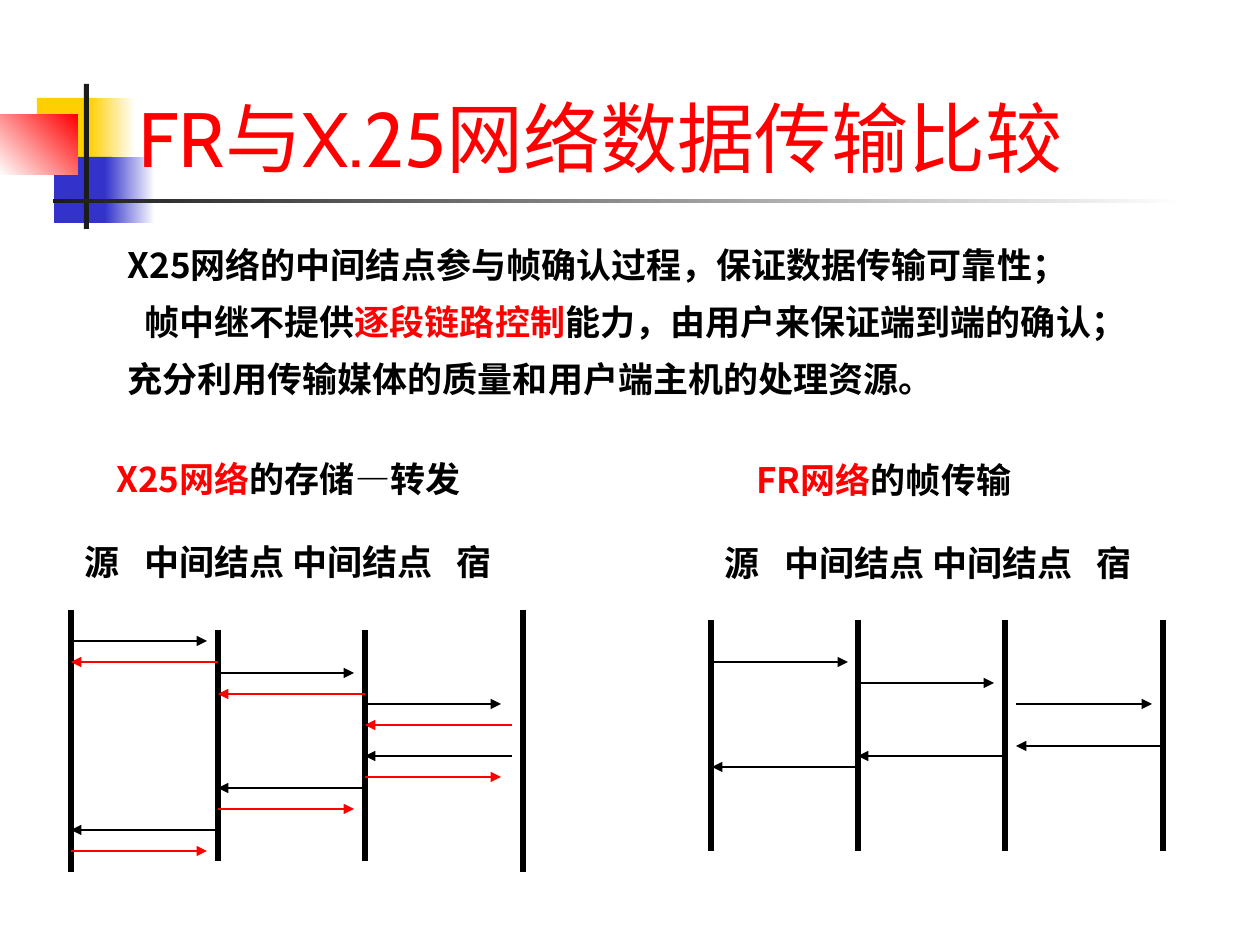
from lxml.etree import SubElement
from pptx import Presentation
from pptx.dml.color import RGBColor
from pptx.enum.shapes import MSO_CONNECTOR as Link, MSO_SHAPE as Form
from pptx.enum.text import MSO_ANCHOR as Anchor
from pptx.oxml.ns import qn
from pptx.util import Pt

SCALE = 914400 / 126
BLACK, RED, WHITE = "000000", "FF0000", "FFFFFF"
GOLD, BLUE, DARK = "FFCF01", "3333CC", "1C1C1C"


def px(num):
    return round(num * SCALE)


def tint(code):
    return RGBColor.from_string(code)


class Deck:
    sans = "Noto Sans CJK SC"
    head = "Cabin"

    def __init__(self, wide, high):
        self.show = Presentation()
        self.show.slide_width, self.show.slide_height = px(wide), px(high)
        self.slide = self.show.slides.add_slide(self.show.slide_layouts[6])

    def rect(self, x, y, wide, high, color, end=None, angle=0):
        box = self.slide.shapes.add_shape(Form.RECTANGLE, px(x), px(y), px(wide), px(high))
        box.shadow.inherit = False
        box.line.fill.background()
        if end is None:
            box.fill.solid()
            box.fill.fore_color.rgb = tint(color)
            return
        box.fill.gradient()
        box.fill.gradient_angle = angle
        for stop, code in zip(box.fill.gradient_stops, (color, end)):
            stop.color.rgb = tint(code)

    def line(self, x1, y1, x2, y2, color=BLACK, width=0.75, arrow=True):
        link = self.slide.shapes.add_connector(Link.STRAIGHT, px(x1), px(y1), px(x2), px(y2))
        link.line.color.rgb = tint(color)
        link.line.width = Pt(width)
        if arrow:
            SubElement(link.line._ln, qn("a:tailEnd"), type="triangle")
        SubElement(link._element.spPr, qn("a:effectLst"))

    def text(self, x, y, wide, high, anchor=Anchor.TOP):
        frame = self.slide.shapes.add_textbox(px(x), px(y), px(wide), px(high)).text_frame
        frame.word_wrap = True
        frame.vertical_anchor = anchor
        return frame

    def para(self, frame, runs, size=20, font=sans, bold=True,
             indent=0, before=0, space=None):
        first = not frame.paragraphs[0].runs
        para = frame.paragraphs[0] if first else frame.add_paragraph()
        if not first:
            para.space_before = Pt(before)
        if space:
            para.line_spacing = space
        props = para._p.get_or_add_pPr()
        props.set("marL", str(px(indent)))
        props.set("indent", "0")
        for words, color in runs:
            run = para.add_run()
            run.text = words
            run.font.size, run.font.bold, run.font.name = Pt(size), bold, font
            run.font.color.rgb = tint(color)
            SubElement(run._r.get_or_add_rPr(), qn("a:ea"), typeface=self.sans)


def frame_art(deck):
    deck.rect(37, 98, 60, 66, GOLD)
    deck.rect(89, 98, 46, 66, GOLD, WHITE)
    deck.rect(54, 157, 58, 66, BLUE)
    deck.rect(105, 157, 50, 66, BLUE, WHITE)
    deck.rect(0, 115, 78, 60, WHITE, RED, 45)
    deck.rect(84, 84, 5, 145, DARK)
    deck.rect(53, 199, 1134, 4, DARK, WHITE)


def heading(deck):
    title = deck.text(126, 73, 1074, 116, Anchor.BOTTOM)
    deck.para(title, [("FR与X.25网络数据传输比较", RED)], 44, deck.head, False)
    body = deck.text(115, 231, 1040, 239)
    points = [
        (0, [("X25网络的中间结点参与帧确认过程，保证数据传输可靠性；", BLACK)]),
        (17, [("帧中继不提供", BLACK), ("逐段链路控制", RED),
              ("能力，由用户来保证端到端的确认；", BLACK)]),
        (0, [("充分利用传输媒体的质量和用户端主机的处理资源。", BLACK)]),
    ]
    for indent, runs in points:
        deck.para(body, runs, indent=indent, before=5, space=1.15)


def chart(deck, left, top, name, rest, posts):
    deck.para(deck.text(left + 32, top, 405, 54), [(name, RED), (rest, BLACK)])
    labels = [(0, 65, "源"), (60, 170, "中间结点"), (208, 170, "中间结点"), (372, 65, "宿")]
    for step, wide, words in labels:
        deck.para(deck.text(left + step, top + 83, wide, 54), [(words, BLACK)])
    for step, (start, end) in zip((0, 147, 294, 452), posts):
        deck.line(left - 1 + step, start, left - 1 + step, end, width=3, arrow=False)


def main():
    deck = Deck(1260, 945)
    frame_art(deck)
    heading(deck)

    tall, short = (610, 872), (630, 861)
    chart(deck, 72, 451, "X25网络", "的存储—转发", (tall, short, short, tall))
    chart(deck, 712, 452, "FR网络", "的帧传输", [(620, 851)] * 4)

    hop, reach, gap = 147, 136, 21
    for num, (send, back) in enumerate([(641, 830), (673, 788), (704, 756)]):
        near = 71 + num * hop
        far = near + hop
        deck.line(near, send, near + reach, send)
        deck.line(far, send + gap, near, send + gap, RED)
        deck.line(far, back, near, back)
        deck.line(near, back + gap, near + reach, back + gap, RED)

    for num, (near, back) in enumerate([(712, 767), (858, 756), (1016, 746)]):
        send = 662 + num * gap
        deck.line(near, send, near + reach, send)
        deck.line(near + hop, back, near, back)

    deck.show.save("out.pptx")


if __name__ == "__main__":
    main()
